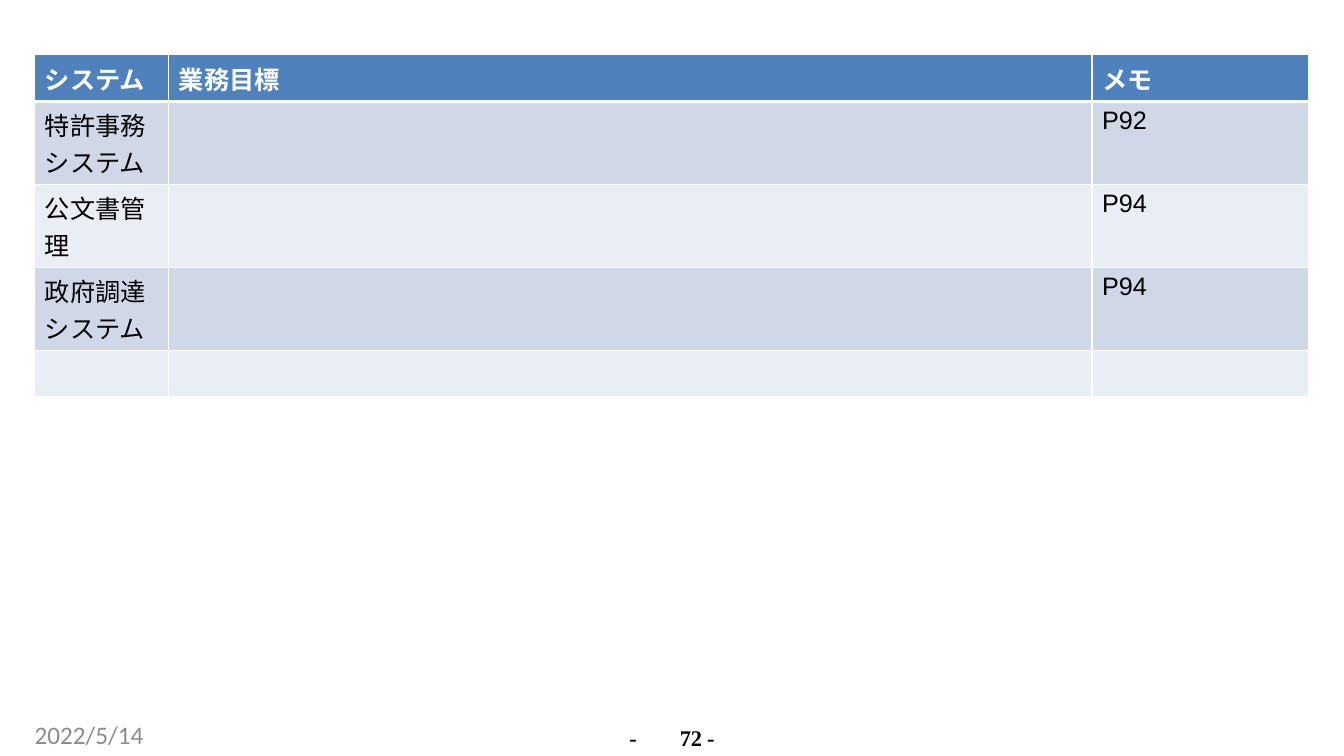
from dataclasses import dataclass

from lxml import etree
from pptx import Presentation
from pptx.dml.color import RGBColor
from pptx.enum.text import MSO_AUTO_SIZE, PP_ALIGN
from pptx.oxml.ns import qn
from pptx.util import Pt

CENTER = PP_ALIGN.CENTER
NO_AUTOSIZE = MSO_AUTO_SIZE.NONE


@dataclass(frozen=True)
class Theme:
    white: str = "FFFFFF"
    black: str = "000000"
    gray: str = "8C8C8C"
    header: str = "4F81BD"
    bands: tuple = ("D0D8E8", "E9EDF4")
    table_font: str = "Arial"
    japanese_font: str = "Noto Sans CJK JP"
    date_font: str = "Calibri"
    number_font: str = "Times New Roman"
    text_size: int = 18
    number_size: int = 16
    thin_border: int = 1
    thick_border: int = 3


THEME = Theme()
COLUMN_WIDTHS = (95.8, 659.5, 154.8)
ROW_HEIGHTS = (32.5, 59.3, 59.3, 59.3, 32.5)
ROWS = (
    ("システム", "業務目標", "メモ"),
    ("特許事務システム", "", "P92"),
    ("公文書管理", "", "P94"),
    ("政府調達システム", "", "P94"),
    ("", "", ""),
)


def add_run(paragraph, text, font_name, size, color, bold=False):
    run = paragraph.add_run()
    run.text = text
    font = run.font
    font.name = font_name
    font.size = Pt(size)
    font.bold = bold
    font.color.rgb = RGBColor.from_string(color)
    return run


def set_border(cell, side, index, width):
    """Draw one white cell edge; index keeps the edges in schema order."""
    line = etree.Element(qn(f"a:ln{side}"), w=str(Pt(width)))
    fill = etree.SubElement(line, qn("a:solidFill"))
    etree.SubElement(fill, qn("a:srgbClr"), val=THEME.white)
    cell._tc.get_or_add_tcPr().insert(index, line)


def fill_cell(cell, text, row_index):
    is_header = row_index == 0
    background = THEME.header if is_header else THEME.bands[(row_index - 1) % 2]
    cell.fill.solid()
    cell.fill.fore_color.rgb = RGBColor.from_string(background)
    thick_side = {0: "B", 1: "T"}.get(row_index)
    for index, side in enumerate("LRTB"):
        width = THEME.thick_border if side == thick_side else THEME.thin_border
        set_border(cell, side, index, width)
    if text:
        color = THEME.white if is_header else THEME.black
        run = add_run(cell.text_frame.paragraphs[0], text, THEME.table_font,
                      THEME.text_size, color, is_header)
        etree.SubElement(run._r.get_or_add_rPr(), qn("a:ea"),
                         typeface=THEME.japanese_font)


def add_system_table(slide):
    frame = slide.shapes.add_table(
        len(ROWS), len(COLUMN_WIDTHS), Pt(24.8), Pt(39.2),
        Pt(sum(COLUMN_WIDTHS)), Pt(sum(ROW_HEIGHTS)))
    table = frame.table
    for column, width in zip(table.columns, COLUMN_WIDTHS):
        column.width = Pt(width)
    for row_index, (row, height) in enumerate(zip(table.rows, ROW_HEIGHTS)):
        row.height = Pt(height)
        for cell, text in zip(row.cells, ROWS[row_index]):
            fill_cell(cell, text, row_index)


def add_text_box(slide, left, top, width, height):
    """Add a box without margins and return its first paragraph."""
    box = slide.shapes.add_textbox(Pt(left), Pt(top), Pt(width), Pt(height))
    frame = box.text_frame
    frame.word_wrap = True
    frame.auto_size = NO_AUTOSIZE
    frame.margin_left = frame.margin_right = 0
    frame.margin_top = frame.margin_bottom = 0
    return frame.paragraphs[0]


def add_page_number(slide):
    paragraph = add_text_box(slide, 448.6, 517.7, 61.9, 18)
    paragraph.alignment = CENTER
    paragraph.line_spacing = Pt(18.4)
    properties = paragraph._p.get_or_add_pPr()
    properties.set("marL", str(Pt(1)))
    properties.set("indent", "0")
    tabs = etree.SubElement(properties, qn("a:tabLst"))
    etree.SubElement(tabs, qn("a:tab"), pos=str(Pt(17.3)), algn="l")
    run = add_run(paragraph, "-\t72 -", THEME.number_font,
                  THEME.number_size, THEME.black, True)
    run._r.get_or_add_rPr().set("spc", "-10")


def add_date(slide):
    paragraph = add_text_box(slide, 24.8, 514.1, 221, 21.6)
    add_run(paragraph, "2022/5/14", THEME.date_font, THEME.text_size, THEME.gray)


def main():
    presentation = Presentation()
    presentation.slide_width = Pt(960)
    presentation.slide_height = Pt(540)
    slide = presentation.slides.add_slide(presentation.slide_layouts[6])
    add_system_table(slide)
    add_page_number(slide)
    add_date(slide)
    presentation.save("out.pptx")


if __name__ == "__main__":
    main()
